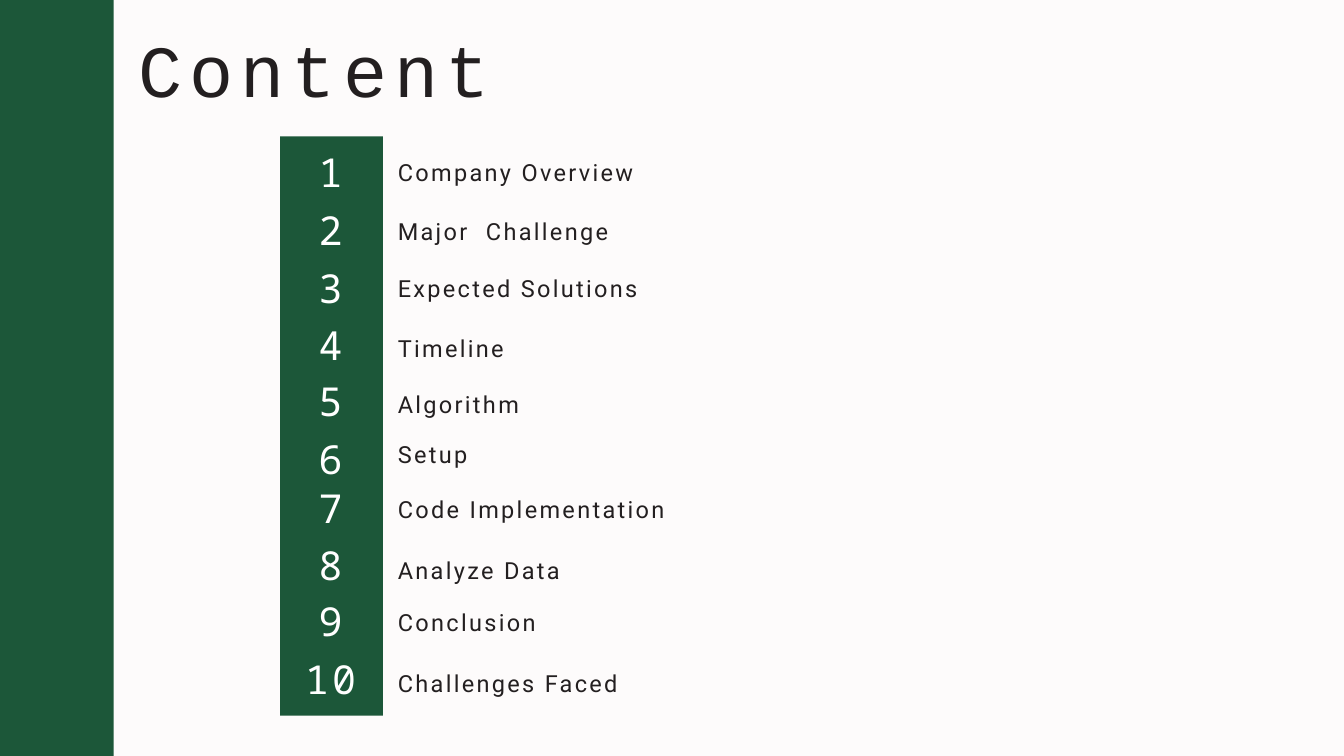
from pptx import Presentation
from pptx import util as u
from pptx.dml import color
from pptx.enum import shapes, text

COLOURS = {"background": "FDFBFB", "green": "1C5739", "ink": "231F20", "white": "FFFFFF"}

TITLE = {"name": "Courier New", "size": 78.7, "colour": "ink", "tracking": 7.7,
         "line_spacing": 108.6, "alignment": text.PP_ALIGN.LEFT}
NUMBER = {"name": "Noto Sans Mono", "size": 42.7, "colour": "white", "tracking": 3.5,
          "line_spacing": 51.3, "alignment": text.PP_ALIGN.CENTER}
TOPIC = {"name": "Roboto", "size": 25.2, "colour": "ink", "tracking": 2.5,
         "line_spacing": 34.8, "alignment": text.PP_ALIGN.LEFT}

# Topic, top of its number, top of its text
AGENDA = [
    ("Company Overview", 2.19, 2.29),
    ("Major  Challenge", 3.06, 3.17),
    ("Expected Solutions", 3.92, 4.02),
    ("Timeline", 4.77, 4.9),
    ("Algorithm", 5.61, 5.74),
    ("Setup", 6.46, 6.49),
    ("Code Implementation", 7.2, 7.3),
    ("Analyze Data", 8.04, 8.21),
    ("Conclusion", 8.88, 8.98),
    ("Challenges Faced", 9.74, 9.89),
]


def rgb(name):
    return color.RGBColor.from_string(COLOURS[name])


def add_bar(slide, *box):
    bar = slide.shapes.add_shape(shapes.MSO_SHAPE.RECTANGLE, *map(u.Inches, box))
    bar.shadow.inherit = False
    bar.fill.solid()
    bar.fill.fore_color.rgb = rgb("green")
    bar.line.fill.background()


def write(shape, content, style):
    """Put one styled paragraph into a shape without insets."""
    frame = shape.text_frame
    frame_format = {"margin_left": 0, "margin_top": 0, "margin_right": 0, "margin_bottom": 0,
                    "word_wrap": True, "vertical_anchor": text.MSO_ANCHOR.TOP,
                    "auto_size": text.MSO_AUTO_SIZE.SHAPE_TO_FIT_TEXT}
    for key, value in frame_format.items():
        setattr(frame, key, value)
    paragraph = frame.paragraphs[0]
    paragraph.alignment = style["alignment"]
    paragraph.line_spacing = u.Pt(style["line_spacing"])
    run = paragraph.add_run()
    run.text = content
    for key, value in {"name": style["name"], "size": u.Pt(style["size"])}.items():
        setattr(run.font, key, value)
    run.font.color.rgb = rgb(style["colour"])
    run._r.get_or_add_rPr().set("spc", str(round(style["tracking"] * 100)))


def add_title(slide, content, *box):
    title = slide.shapes.title
    title.left, title.top, title.width, title.height = map(u.Inches, box)
    write(title, content, TITLE)


def add_text(slide, content, style, *box):
    write(slide.shapes.add_textbox(*map(u.Inches, box)), content, style)


def main():
    presentation = Presentation()
    presentation.slide_width = u.Inches(20)
    presentation.slide_height = u.Inches(11.25)
    slide = presentation.slides.add_slide(presentation.slide_layouts.get_by_name("Title Only"))
    slide.background.fill.solid()
    slide.background.fill.fore_color.rgb = rgb("background")

    add_bar(slide, 4.17, 2.03, 1.53, 8.62)
    add_bar(slide, 0, 0, 1.69, 11.25)
    add_title(slide, "Content", 2.06, 0.16, 6.19, 1.57)
    for number, (topic, number_top, topic_top) in enumerate(AGENDA, start=1):
        add_text(slide, str(number), NUMBER, 4.41, number_top, 1.02, 0.78)
        add_text(slide, topic, TOPIC, 5.92, topic_top, 6.65, 0.46)

    presentation.save("out.pptx")


if __name__ == "__main__":
    main()
